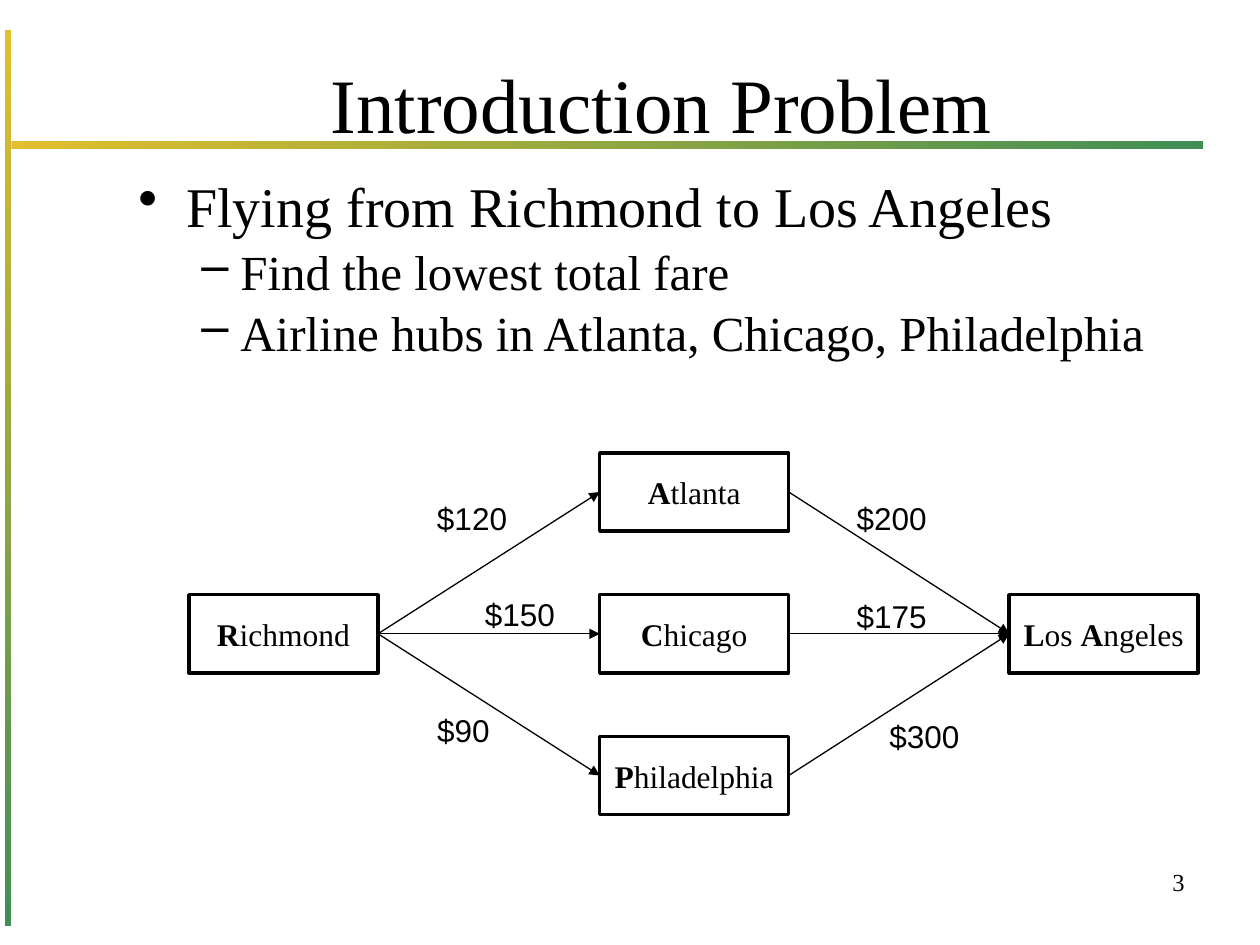
import pptx
import pptx.util
import pptx.dml.color
import pptx.enum.shapes
import pptx.enum.text
import pptx.oxml
import pptx.oxml.ns

Inches = pptx.util.Inches
Pt = pptx.util.Pt
ALIGN = pptx.enum.text.PP_ALIGN
ANCHOR = pptx.enum.text.MSO_ANCHOR
RECT = pptx.enum.shapes.MSO_SHAPE.RECTANGLE

COLORS = {"ink": "000000", "gold": "E2BF2C", "green": "408E56"}
SERIF, SANS = "Times New Roman", "Arial"
BOX_W, BOX_H = 1.5, 0.62
MIDDLE_Y, HUB_STEP = 4.72, 1.125


def rgb(name):
    return pptx.dml.color.RGBColor.from_string(COLORS[name])


def set_attrs(obj, values):
    for name, value in values.items():
        setattr(obj, name, value)


def add_run(p, text, size, font=SERIF, bold=False):
    r = p.add_run()
    r.text = text
    set_attrs(r.font, {"size": Pt(size), "name": font, "bold": bold})
    r.font.color.rgb = rgb("ink")


def add_text_box(slide, x, y, w, h, wrap=True, anchor=ANCHOR.TOP):
    sp = slide.shapes.add_textbox(Inches(x), Inches(y), Inches(w), Inches(h))
    set_attrs(sp.text_frame, {"word_wrap": wrap, "vertical_anchor": anchor})
    return sp.text_frame


def add_label(slide, text, x, y, w, h, size, font=SERIF, align=ALIGN.LEFT, **frame):
    p = add_text_box(slide, x, y, w, h, **frame).paragraphs[0]
    p.alignment = align
    add_run(p, text, size, font)


def add_bar(slide, x, y, w, h, angle):
    sp = slide.shapes.add_shape(RECT, Inches(x), Inches(y), Inches(w), Inches(h))
    sp.shadow.inherit = False
    sp.line.fill.background()
    sp.fill.gradient()
    sp.fill.gradient_angle = angle
    for stop, (name, position) in zip(sp.fill.gradient_stops, (("gold", 0), ("green", 1))):
        stop.color.rgb = rgb(name)
        stop.position = position


def add_bullet(p, text, char, size, level, left, hang):
    p.level = level
    p.space_before = Pt(1.5)
    pPr = p._p.get_or_add_pPr()
    pPr.set("marL", str(Inches(left)))
    pPr.set("indent", str(-Inches(hang)))
    pPr.append(pptx.oxml.parse_xml(
        f'<a:buChar {pptx.oxml.ns.nsdecls("a")} char="{char}"/>'))
    add_run(p, text, size)


def add_city(slide, name, x, y):
    sp = slide.shapes.add_shape(RECT, Inches(x), Inches(y), Inches(BOX_W), Inches(BOX_H))
    sp.shadow.inherit = False
    sp.fill.background()
    sp.line.color.rgb = rgb("ink")
    sp.line.width = Pt(2)
    tf = sp.text_frame
    set_attrs(tf, {"word_wrap": False, "vertical_anchor": ANCHOR.MIDDLE})
    p = tf.paragraphs[0]
    p.alignment = ALIGN.CENTER
    words = name.split()
    for i, word in enumerate(words):
        add_run(p, word[0], 18, bold=True)
        add_run(p, word[1:] + (" " if i < len(words) - 1 else ""), 18)
    return sp


def add_flight(slide, start, end):
    line = slide.shapes.add_connector(
        pptx.enum.shapes.MSO_CONNECTOR.STRAIGHT, 0, 0, 0, 0)
    line.begin_connect(start, 3)
    line.end_connect(end, 1)
    line.line.color.rgb = rgb("ink")
    line.line.width = Pt(0.75)
    ns = pptx.oxml.ns.nsdecls("a")
    line.line._get_or_add_ln().append(
        pptx.oxml.parse_xml(f'<a:tailEnd {ns} type="triangle"/>'))
    line._element.spPr.append(pptx.oxml.parse_xml(f"<a:effectLst {ns}/>"))


def main():
    prs = pptx.Presentation()
    set_attrs(prs, {"slide_width": Inches(10), "slide_height": Inches(7.5)})
    slide = prs.slides.add_slide(prs.slide_layouts[6])

    add_bar(slide, 0.04, 0.24, 0.05, 7.11, 270)
    add_bar(slide, 0.09, 1.12, 9.46, 0.06, 0)
    add_label(slide, "Introduction Problem", 1, 0.3, 8.5, 1.03, 44,
              align=ALIGN.CENTER, anchor=ANCHOR.MIDDLE)

    tf = add_text_box(slide, 1, 1.31, 8.5, 5.39)
    add_bullet(tf.paragraphs[0], "Flying from Richmond to Los Angeles", "•", 32, 0, 0.38, 0.38)
    for text in ("Find the lowest total fare",
                 "Airline hubs in Atlanta, Chicago, Philadelphia"):
        add_bullet(tf.add_paragraph(), text, "–", 28, 1, 0.81, 0.31)

    origin = add_city(slide, "Richmond", 1.5, MIDDLE_Y)
    target = add_city(slide, "Los Angeles", 8.01, MIDDLE_Y)
    for i, name in enumerate(("Atlanta", "Chicago", "Philadelphia")):
        hub = add_city(slide, name, 4.76, MIDDLE_Y + (i - 1) * HUB_STEP)
        add_flight(slide, origin, hub)
        add_flight(slide, hub, target)

    fares = (("$120", 3.37, 3.91), ("$150", 3.75, 4.67), ("$90", 3.37, 5.59),
             ("$200", 6.7, 3.91), ("$175", 6.7, 4.69), ("$300", 6.96, 5.64))
    for fare, x, y in fares:
        add_label(slide, fare, x, y, 0.2 + 0.14 * len(fare), 0.4, 18, SANS, wrap=False)

    add_label(slide, "3", 6.99, 6.83, 2.51, 0.52, 14, align=ALIGN.RIGHT)
    prs.save("out.pptx")


if __name__ == "__main__":
    main()
